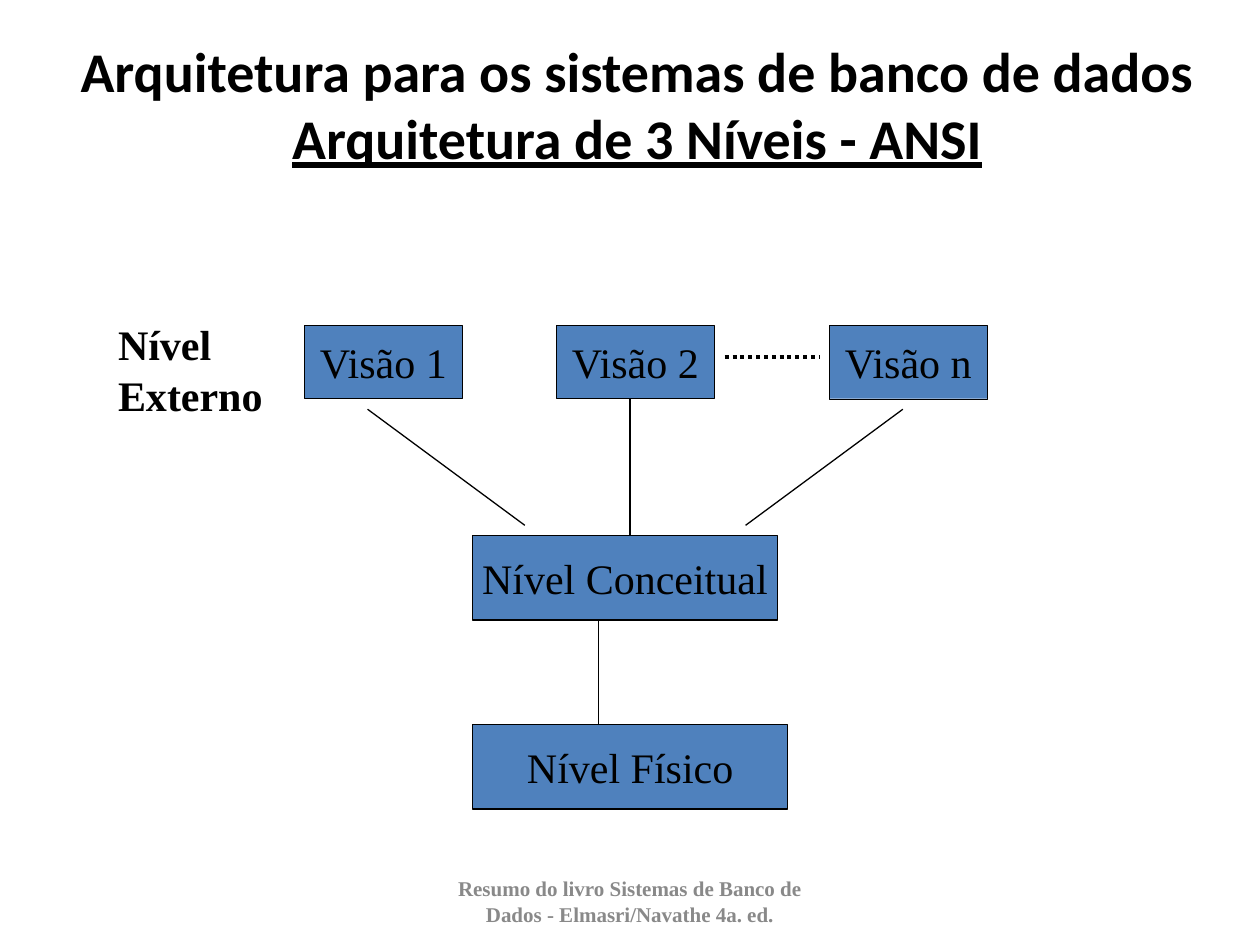
from lxml import etree
from pptx import Presentation
from pptx import util as u
from pptx.dml.color import RGBColor
from pptx.enum import dml, shapes, text
from pptx.oxml.ns import qn

BLACK = "000000"
BLUE = "4F81BD"
GRAY = "898989"
SERIF = "Times New Roman"

VIEW_TOP, VIEW_WIDTH, VIEW_HEIGHT = 6.56, 3.18, 1.48
LEVEL_LEFT, LEVEL_HEIGHT = 9.53, 1.7
CONCEPTUAL_TOP, PHYSICAL_TOP = 10.8, 14.61


def color(hex_value):
    return RGBColor.from_string(hex_value)


def place(element, left, top, width, height):
    element.left, element.top = u.Cm(left), u.Cm(top)
    element.width, element.height = u.Cm(width), u.Cm(height)


def format_text(frame, size, name=SERIF, hex_value=BLACK, bold=False,
                align=text.PP_ALIGN.CENTER, anchor=text.MSO_ANCHOR.MIDDLE, wrap=False):
    frame.word_wrap = wrap
    frame.vertical_anchor = anchor
    for paragraph in frame.paragraphs:
        paragraph.alignment = align
        for run in paragraph.runs:
            run.font.size = u.Pt(size)
            run.font.name = name
            run.font.bold = bold
            run.font.color.rgb = color(hex_value)


def add_title(slide, heading, subheading):
    title = slide.shapes.title
    place(title, 0.3, 0.13, 25.1, 3.91)
    title.text_frame.text = f"{heading}\v{subheading}"
    title.text_frame.auto_size = text.MSO_AUTO_SIZE.NONE
    format_text(title.text_frame, 32, "Calibri", bold=True, wrap=True)
    title.text_frame.paragraphs[0].runs[-1].font.underline = True


def add_label(slide, wording, left, top, width, height, size, **style):
    label = slide.shapes.add_textbox(0, 0, 0, 0)
    place(label, left, top, width, height)
    label.text_frame.text = wording
    format_text(label.text_frame, size, bold=True, **style)


def add_level(slide, wording, left, top, width, height, border=0.75):
    level = slide.shapes.add_shape(shapes.MSO_SHAPE.RECTANGLE, 0, 0, 0, 0)
    place(level, left, top, width, height)
    level.shadow.inherit = False
    level.fill.solid()
    level.fill.fore_color.rgb = color(BLUE)
    level.line.color.rgb = color(BLACK)
    level.line.width = u.Pt(border)
    level.text_frame.text = wording
    format_text(level.text_frame, 24)


def add_link(slide, x1, y1, x2, y2, width=0.75, dash=None):
    link = slide.shapes.add_connector(
        shapes.MSO_CONNECTOR.STRAIGHT, u.Cm(x1), u.Cm(y1), u.Cm(x2), u.Cm(y2))
    link.line.color.rgb = color(BLACK)
    link.line.width = u.Pt(width)
    if dash is not None:
        link.line.dash_style = dash
    etree.SubElement(link._element.spPr, qn("a:effectLst"))


def main():
    deck = Presentation()
    deck.slide_width, deck.slide_height = u.Cm(25.4), u.Cm(19.05)
    slide = deck.slides.add_slide(deck.slide_layouts[5])

    add_title(slide, "Arquitetura para os sistemas de banco de dados",
              "Arquitetura de 3 Níveis - ANSI")
    add_label(slide, "Resumo do livro Sistemas de Banco de Dados - Elmasri/Navathe 4a. ed.",
              8.68, 17.66, 8.04, 1.01, 12, hex_value=GRAY, wrap=True)
    add_label(slide, "Nível\nExterno", 2.13, 6.3, 3.43, 2.28, 24,
              align=text.PP_ALIGN.LEFT, anchor=text.MSO_ANCHOR.TOP)

    views = [("Visão 1", 6.14, 0.75), ("Visão 2", 11.22, 0.75), ("Visão n", 16.72, 0.25)]
    for wording, left, border in views:
        add_level(slide, wording, left, VIEW_TOP, VIEW_WIDTH, VIEW_HEIGHT, border)
    add_level(slide, "Nível Conceitual", LEVEL_LEFT, CONCEPTUAL_TOP, 6.14, LEVEL_HEIGHT)
    add_level(slide, "Nível Físico", LEVEL_LEFT, PHYSICAL_TOP, 6.35, LEVEL_HEIGHT)

    gap = 0.21
    view_bottom = VIEW_TOP + VIEW_HEIGHT
    for outer, inner in [(7.41, 10.58), (18.2, 15.03)]:
        add_link(slide, outer, view_bottom + gap, inner, CONCEPTUAL_TOP - gap)
    add_link(slide, 12.7, view_bottom, 12.7, CONCEPTUAL_TOP)
    add_link(slide, 12.07, CONCEPTUAL_TOP + LEVEL_HEIGHT, 12.07, PHYSICAL_TOP)
    add_link(slide, 14.61, 7.2, 16.51, 7.2, 2.25, dml.MSO_LINE.ROUND_DOT)

    deck.save("out.pptx")


if __name__ == "__main__":
    main()
